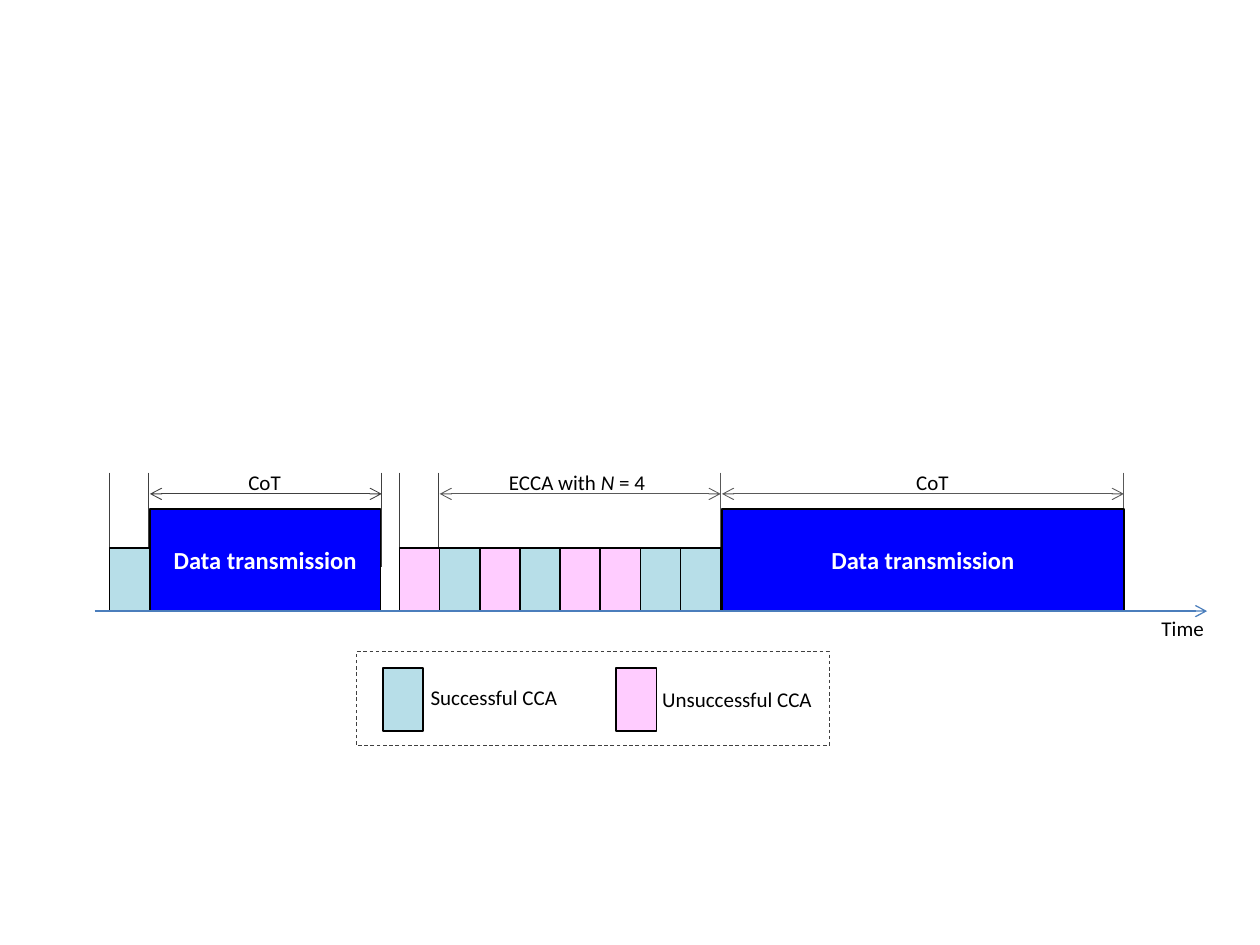
from lxml import etree
from pptx import Presentation
from pptx.dml.color import RGBColor
from pptx.enum.dml import MSO_LINE
from pptx.enum.shapes import MSO_CONNECTOR, MSO_SHAPE
from pptx.enum.text import MSO_ANCHOR, PP_ALIGN
from pptx.oxml.ns import qn
from pptx.util import Inches, Pt

RECTANGLE = MSO_SHAPE.RECTANGLE
STRAIGHT = MSO_CONNECTOR.STRAIGHT
DASH = MSO_LINE.DASH
MIDDLE = MSO_ANCHOR.MIDDLE
CENTER, LEFT = PP_ALIGN.CENTER, PP_ALIGN.LEFT

BLACK = RGBColor(0x00, 0x00, 0x00)
WHITE = RGBColor(0xFF, 0xFF, 0xFF)
DARK_GREY = RGBColor(0x40, 0x40, 0x40)
GREY = RGBColor(0x59, 0x59, 0x59)
AXIS_BLUE = RGBColor(0x4B, 0x7E, 0xBC)
DATA_BLUE = RGBColor(0x00, 0x00, 0xFF)
SUCCESS = RGBColor(0xB7, 0xDE, 0xE8)
FAILURE = RGBColor(0xFF, 0xCC, 0xFF)

AXIS_Y, GUIDE_TOP, GUIDE_BOTTOM, SPAN_Y = 4.85, 3.75, 4.5, 3.92
CELL_W, CELL_H = 0.32, 0.5
DATA_H = 0.81


class TimingDiagram:
    """Holds the style and the slide that is being drawn."""

    font = "Calibri"
    label_size = 12
    data_size = 14

    def __init__(self, slide):
        self.slide = slide

    def add_text(self, paragraph, text, **formats):
        run = paragraph.add_run()
        run.text = text
        settings = {"name": self.font, "size": Pt(self.label_size), **formats}
        color = settings.pop("color", BLACK)
        for attribute, value in settings.items():
            setattr(run.font, attribute, value)
        run.font.color.rgb = color

    def box(self, x, y, w, h, fill=None, outline=BLACK, weight=1, dash=None):
        box = self.slide.shapes.add_shape(
            RECTANGLE, Inches(x), Inches(y), Inches(w), Inches(h))
        box.shadow.inherit = False
        if fill is None:
            box.fill.background()
        else:
            box.fill.solid()
            box.fill.fore_color.rgb = fill
        box.line.color.rgb = outline
        box.line.width = Pt(weight)
        if dash is not None:
            box.line.dash_style = dash
        return box

    def cell(self, x, y, fill):
        self.box(x, y, CELL_W, CELL_H, fill)

    def data(self, start, end):
        frame = self.box(start, AXIS_Y - DATA_H, end - start, DATA_H, DATA_BLUE).text_frame
        frame.vertical_anchor = MIDDLE
        frame.word_wrap = True
        paragraph = frame.paragraphs[0]
        paragraph.alignment = CENTER
        self.add_text(paragraph, "Data transmission",
                      size=Pt(self.data_size), bold=True, color=WHITE)

    def label(self, x, y, w, runs, align=CENTER):
        frame = self.slide.shapes.add_textbox(
            Inches(x), Inches(y), Inches(w), Inches(0.3)).text_frame
        frame.word_wrap = False
        paragraph = frame.paragraphs[0]
        paragraph.alignment = align
        for text, italic in runs:
            self.add_text(paragraph, text, italic=italic)

    def line(self, x1, y1, x2, y2, color, weight=0.5, arrows=()):
        line = self.slide.shapes.add_connector(
            STRAIGHT, Inches(x1), Inches(y1), Inches(x2), Inches(y2))
        line.line.color.rgb = color
        line.line.width = Pt(weight)
        properties = line._element.spPr
        for end in arrows:
            etree.SubElement(properties.find(qn("a:ln")), qn(end), type="arrow")
        etree.SubElement(properties, qn("a:effectLst"))

    def span(self, start, end, color):
        self.line(start, SPAN_Y, end, SPAN_Y, color, arrows=("a:headEnd", "a:tailEnd"))


def main():
    prs = Presentation()
    prs.slide_width, prs.slide_height = Inches(10), Inches(7.5)
    diagram = TimingDiagram(prs.slides.add_slide(prs.slide_layouts[6]))

    # Guides that bound each period
    for x, color in ((0.87, DARK_GREY), (1.18, DARK_GREY), (3.03, DARK_GREY),
                     (3.17, DARK_GREY), (3.48, DARK_GREY), (5.72, GREY), (8.92, GREY)):
        diagram.line(x, GUIDE_TOP, x, GUIDE_BOTTOM, color)

    # First CCA, then the failed CCA and its extended CCA
    cell_top = AXIS_Y - CELL_H
    diagram.cell(0.87, cell_top, SUCCESS)
    ecca_start, ecca_end = 3.17, 5.72
    outcomes = (FAILURE, SUCCESS, FAILURE, SUCCESS, FAILURE, FAILURE, SUCCESS, SUCCESS)
    pitch = (ecca_end - ecca_start) / len(outcomes)
    for i, outcome in enumerate(outcomes):
        diagram.cell(ecca_start + i * pitch, cell_top, outcome)

    # Data transmissions
    for start, end in ((1.19, 3.02), (5.73, 8.92)):
        diagram.data(start, end)

    # Period arrows and names
    diagram.span(1.19, 3.03, DARK_GREY)
    diagram.span(3.49, 5.72, GREY)
    diagram.span(5.73, 8.92, GREY)
    for x in (1.87, 7.17):
        diagram.label(x, 3.68, 0.46, [("CoT", False)])
    diagram.label(3.93, 3.68, 1.3, [("ECCA with ", False), ("N", True), (" = 4", False)])

    # Time axis
    diagram.line(0.75, AXIS_Y, 9.58, AXIS_Y, AXIS_BLUE, 0.75, arrows=("a:tailEnd",))
    diagram.label(9.12, 4.84, 0.54, [("Time", False)], LEFT)

    # Legend
    diagram.box(2.83, 5.17, 3.75, 0.75, outline=DARK_GREY, weight=0.5, dash=DASH)
    for swatch_x, fill, name, x, y, w in (
            (3.04, SUCCESS, "Successful CCA", 3.31, 5.38, 1.22),
            (4.89, FAILURE, "Unsuccessful CCA", 5.15, 5.4, 1.4)):
        diagram.cell(swatch_x, 5.3, fill)
        diagram.label(x, y, w, [(name, False)])

    prs.save("out.pptx")


if __name__ == "__main__":
    main()
